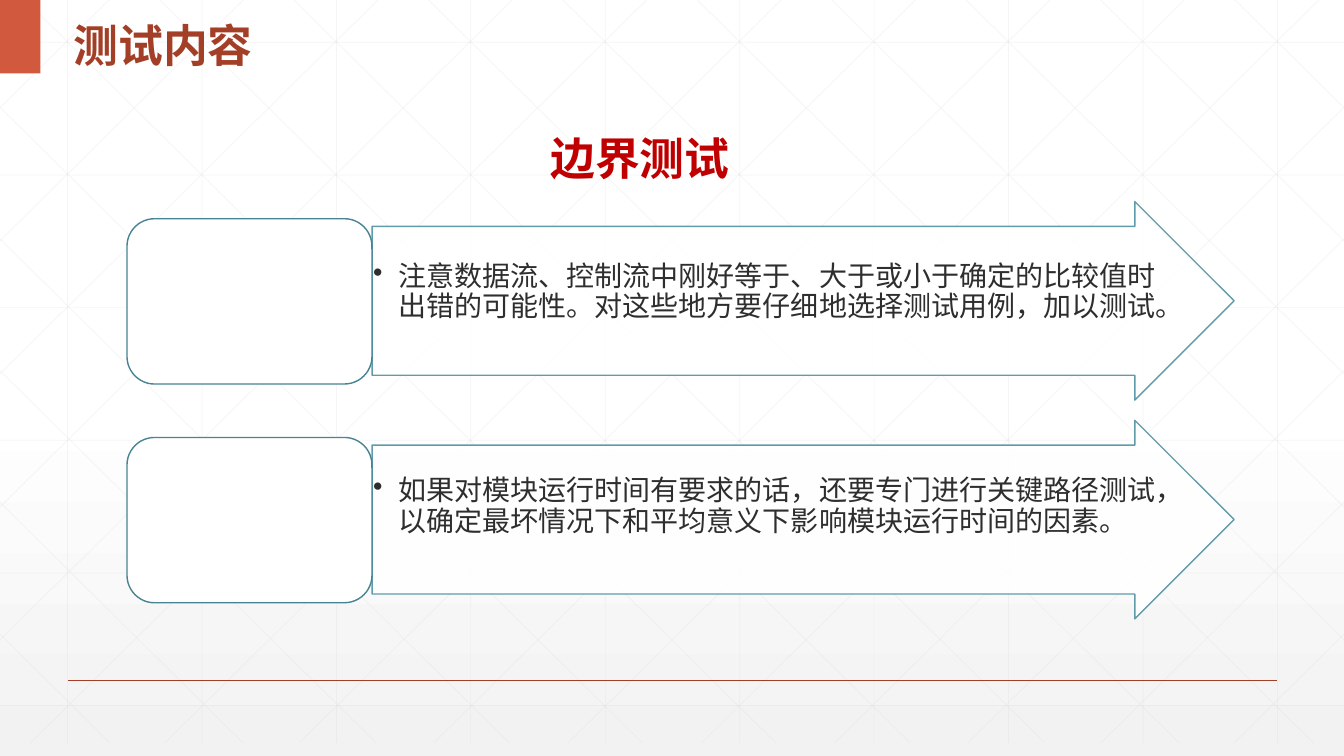
import pptx
import pptx.util
import pptx.dml.color
import pptx.enum.shapes
import pptx.enum.text
import pptx.oxml
import pptx.oxml.ns

Inches = pptx.util.Inches
Pt = pptx.util.Pt
RGBColor = pptx.dml.color.RGBColor
Anchor = pptx.enum.text.MSO_ANCHOR
Shape = pptx.enum.shapes.MSO_SHAPE
qn = pptx.oxml.ns.qn

WHITE = RGBColor(0xFF, 0xFF, 0xFF)
PALE = RGBColor(0xF2, 0xF2, 0xF2)
GRID = RGBColor(0xD9, 0xD9, 0xD9)
RUST = RGBColor(0xA4, 0x3F, 0x27)
CORAL = RGBColor(0xD1, 0x5A, 0x3E)
TEAL = RGBColor(0x4F, 0x91, 0xA1)
DEEP = RGBColor(0x48, 0x84, 0x92)
RED = RGBColor(0xC0, 0x00, 0x00)
DARK = RGBColor(0x2D, 0x2E, 0x2D)

deck = pptx.Presentation()
deck.slide_width, deck.slide_height = Inches(13.33), Inches(7.5)
slide = deck.slides.add_slide(deck.slide_layouts[6])
shapes = slide.shapes


def fade(shape, percent):
    """Make the fill and line colours of a shape partly opaque."""
    for color in shape._element.spPr.iter(qn("a:srgbClr")):
        alpha = color.makeelement(qn("a:alpha"), {"val": str(percent * 1000)})
        color.append(alpha)


def write(text, place, size=32, font="Arial", color=RUST, bold=True,
          space=1.3, anchor=Anchor.MIDDLE, inset=None, bullet=False):
    box = shapes.add_textbox(*map(Inches, place))
    frame = box.text_frame
    frame.word_wrap = True
    frame.vertical_anchor = anchor
    if inset:
        (frame.margin_left, frame.margin_top,
         frame.margin_right, frame.margin_bottom) = map(Inches, inset)
    para = frame.paragraphs[0]
    para.line_spacing = space
    if bullet:
        props = para._p.get_or_add_pPr()
        props.set("marL", str(Inches(0.25)))
        props.set("indent", str(-Inches(0.25)))
        props.append(props.makeelement(qn("a:buChar"), {"char": "•"}))
    run = para.add_run()
    run.text = text
    run.font.name, run.font.size = font, Pt(size)
    run.font.bold, run.font.color.rgb = bold, color


# Background
back = slide.background.fill
back.gradient()
back.gradient_angle = 270
for stop, color, place in zip(back.gradient_stops, (WHITE, PALE), (0.53, 1)):
    stop.color.rgb, stop.position = color, place

# Lattice: uprights, levels, then slants with their mirror lines
wide, foot = 13.33, 7.37
step, slope = 4 / 3, 0.99
lines = [(0.67 + step * i, 0, 0.67 + step * i, foot) for i in range(10)]
lines += [(0, 0.42 + 1.316 * i, wide, 0.42 + 1.316 * i) for i in range(6)]
slants = []
for i in range(10):
    left = 0.25 + step * i
    right = min(left + foot / slope, wide)
    slants.append((left, 0, right, (right - left) * slope))
for i in range(5):
    left = 6.37 - 1.32 * i
    slants.append((left, foot, 0, foot - left * slope))
lines += slants
lines += [(wide - a, b, wide - c, d) for a, b, c, d in slants]

styles = [(ends, GRID, 0.5, 25) for ends in lines]
styles.append(((0.67, 6.75, 12.67, 6.75), RUST, 1, 100))
for ends, color, width, percent in styles:
    line = shapes.add_connector(
        pptx.enum.shapes.MSO_CONNECTOR.STRAIGHT, *map(Inches, ends))
    line.line.color.rgb, line.line.width = color, Pt(width)
    if percent < 100:
        fade(line, percent)
    line._element.spPr.append(pptx.oxml.parse_xml(
        '<a:effectLst xmlns:a='
        '"http://schemas.openxmlformats.org/drawingml/2006/main"/>'))

# Title
tab = shapes.add_shape(Shape.RECTANGLE, 0, 0, Inches(0.4), Inches(0.73))
tab.shadow.inherit = False
tab.fill.solid()
tab.fill.fore_color.rgb = CORAL
tab.line.fill.background()
write("测试内容", (0.63, 0, 5.69, 0.73))

# Rows: an arrow with its text and a rounded box
rows = [
    (2, 0.35, "注意数据流、控制流中刚好等于、大于或小于确定的比较值时"
              "出错的可能性。对这些地方要仔细地选择测试用例，加以测试。"),
    (4.17, 0.31, "如果对模块运行时间有要求的话，还要专门进行关键路径测试，"
                 "以确定最坏情况下和平均意义下影响模块运行时间的因素。"),
]
for top, gap, text in rows:
    arrow = shapes.add_shape(Shape.RIGHT_ARROW, Inches(3.69), Inches(top),
                             Inches(8.55), Inches(1.97))
    arrow.adjustments[0] = 0.75
    card = shapes.add_shape(Shape.ROUNDED_RECTANGLE, Inches(1.26),
                            Inches(top + 0.17), Inches(2.43), Inches(1.64))
    for shape, color in ((arrow, TEAL), (card, DEEP)):
        shape.shadow.inherit = False
        shape.fill.solid()
        shape.fill.fore_color.rgb = WHITE
        shape.line.color.rgb, shape.line.width = color, Pt(1)
    fade(arrow, 90)
    write(text, (3.69, top + 0.25, 7.81, 1.48), size=20, color=DARK,
          bold=False, space=0.9, anchor=Anchor.TOP,
          inset=(0.01, gap, 0.01, 0.01), bullet=True)

write("边界测试", (5.36, 1.1, 4.17, 0.76), font="Noto Sans CJK SC", color=RED)

deck.save("out.pptx")
